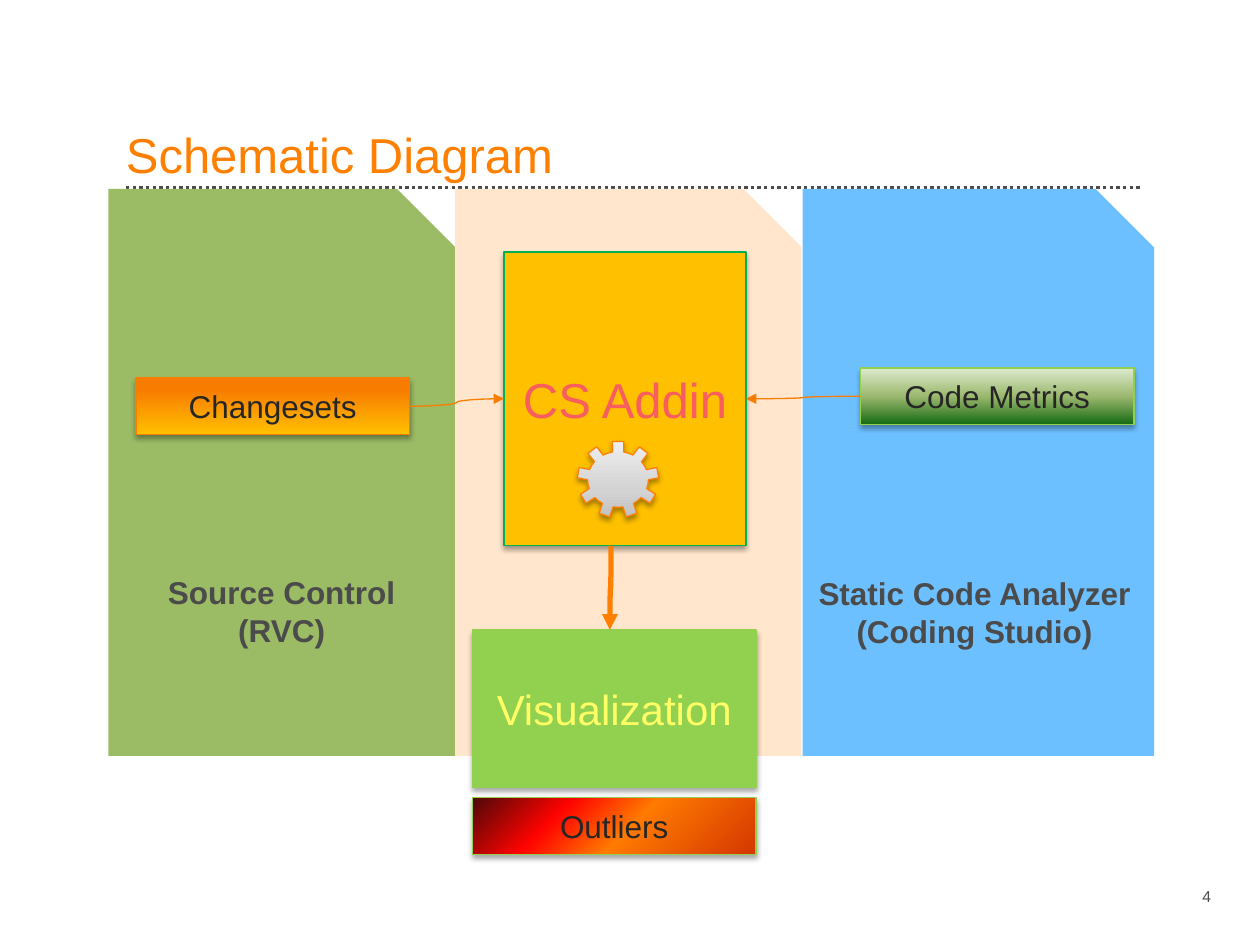
from lxml import etree
from pptx import Presentation
from pptx.dml.color import RGBColor
from pptx.enum.dml import MSO_LINE
from pptx.enum.shapes import MSO_CONNECTOR, MSO_SHAPE
from pptx.enum.text import MSO_ANCHOR, PP_ALIGN
from pptx.oxml import parse_xml
from pptx.oxml.ns import qn
from pptx.util import Inches, Pt

RECT, SNIP, GEAR = MSO_SHAPE.RECTANGLE, MSO_SHAPE.SNIP_1_RECTANGLE, MSO_SHAPE.GEAR_9
STRAIGHT, CURVE = MSO_CONNECTOR.STRAIGHT, MSO_CONNECTOR.CURVE
TOP, MIDDLE, BOTTOM = MSO_ANCHOR.TOP, MSO_ANCHOR.MIDDLE, MSO_ANCHOR.BOTTOM
LEFT, CENTER, RIGHT = PP_ALIGN.LEFT, PP_ALIGN.CENTER, PP_ALIGN.RIGHT
LEFT_SITE, RIGHT_SITE = 1, 3

ORANGE = RGBColor(0xFF, 0x80, 0x00)
DEEP_ORANGE = RGBColor(0xF9, 0x7D, 0x00)
GRAY = RGBColor(0x4B, 0x4B, 0x4B)
INK = RGBColor(0x26, 0x26, 0x26)
LIME = RGBColor(0x92, 0xD0, 0x50)
GREEN = RGBColor(0x00, 0xB0, 0x50)
AMBER = RGBColor(0xFF, 0xC0, 0x00)
CORAL = RGBColor(0xF8, 0x5E, 0x5E)
YELLOW = RGBColor(0xFF, 0xFF, 0x66)
SKY = RGBColor(0x6D, 0xC0, 0xFF)
PEACH = RGBColor(0xFF, 0xE6, 0xCC)
OLIVE = RGBColor(0x9C, 0xBB, 0x65)

UP = '<a:lin ang="16200000" scaled="0"/>'
DOWN = '<a:lin ang="5400000" scaled="0"/>'
CORNER = '<a:path path="circle"><a:fillToRect l="100000" t="100000"/></a:path>'
FLAME = ([(0, "FFC000"), (80, "F77C00"), (100, "F87D00")], UP)
SILVER = ([(0, "C0C0C0"), (35, "D3D3D3"), (100, "EEEEEE")], UP)
LEAF = ([(0, "DDEBCF"), (50, "9CB86E"), (100, "156B13")], DOWN)
EMBER = ([(0, "D43700"), (45, "FF7A00"), (70, "FF0300"), (100, "4D0808")], CORNER)

PANEL_TOP, PANEL_HEIGHT = 1.5, 4.5
PANELS = [(6.37, 2.79, SKY), (3.61, 2.75, PEACH), (0.86, 2.75, OLIVE)]
BOXES = [
    ("CS Addin", (4, 2, 1.92, 2.33), AMBER, GREEN, 28, CORAL),
    ("Changesets", (1.08, 3, 2.17, 0.45), FLAME, DEEP_ORANGE, 18, INK),
    ("Visualization", (3.75, 5, 2.25, 1.25), LIME, LIME, 24, YELLOW),
    ("Outliers", (3.75, 6.33, 2.25, 0.45), EMBER, LIME, 18, INK),
    ("Code Metrics", (6.83, 2.92, 2.17, 0.45), LEAF, LIME, 18, INK),
]
GEAR_PLACE = (4.58, 3.5, 0.65, 0.61)
LABELS = [
    ("Schematic Diagram", (1, 0.55, 8.06, 0.91), 28, ORANGE, False, LEFT, BOTTOM, 0),
    ("4", (9.21, 6.99, 0.5, 0.25), 9, GRAY, False, RIGHT, TOP, 0.1),
    ("Source Control\n(RVC)", (0.83, 4.5, 2.81, 0.71), 18, GRAY, True, CENTER, TOP, 0.1),
    ("Static Code Analyzer\n(Coding Studio)", (6.36, 4.51, 2.75, 0.71), 18, GRAY, True, CENTER, TOP, 0.1),
]
FEEDS = [("Changesets", RIGHT_SITE, LEFT_SITE), ("Code Metrics", LEFT_SITE, RIGHT_SITE)]

NAMESPACE = 'xmlns:a="http://schemas.openxmlformats.org/drawingml/2006/main"'
SHADOW = (f'<a:effectLst {NAMESPACE}><a:outerShdw blurRad="{Pt(3.1)}" dist="{Pt(1.8)}" '
          'dir="5400000" rotWithShape="0"><a:srgbClr val="000000"><a:alpha val="35000"/>'
          '</a:srgbClr></a:outerShdw></a:effectLst>')


def add_gradient(shape, stops, direction):
    colors = "".join(f'<a:gs pos="{share * 1000}"><a:srgbClr val="{color}"/></a:gs>'
                     for share, color in stops)
    shape._element.spPr.append(parse_xml(
        f'<a:gradFill {NAMESPACE} rotWithShape="1"><a:gsLst>{colors}</a:gsLst>{direction}</a:gradFill>'))


def add_box(kind, place, fill, outline=None):
    shape = page.shapes.add_shape(kind, *map(Inches, place))
    if isinstance(fill, RGBColor):
        shape.fill.solid()
        shape.fill.fore_color.rgb = fill
    else:
        add_gradient(shape, *fill)
    if outline is None:
        shape.line.fill.background()
        shape.shadow.inherit = False
    else:
        shape.line.color.rgb = outline
        shape.line.width = Pt(0.75)
        shape._element.spPr.append(parse_xml(SHADOW))
    return shape


def write(shape, text, size, color, bold=False, align=CENTER, anchor=MIDDLE):
    frame = shape.text_frame
    frame.word_wrap = True
    frame.vertical_anchor = anchor
    frame.text = text
    for paragraph in frame.paragraphs:
        paragraph.alignment = align
        font = paragraph.font
        font.name, font.size, font.bold = "Arial", Pt(size), bold
        font.color.rgb = color
    return frame


def add_line(kind, start, end, color, width, arrow=True):
    line = page.shapes.add_connector(kind, *map(Inches, start + end))
    line.line.color.rgb = color
    line.line.width = Pt(width)
    if arrow:
        etree.SubElement(line.line._get_or_add_ln(), qn("a:tailEnd"), type="triangle")
    etree.SubElement(line._element.spPr, qn("a:effectLst"))
    return line


deck = Presentation()
deck.slide_width, deck.slide_height = Inches(10), Inches(7.5)
page = deck.slides.add_slide(deck.slide_layouts[6])

rule = add_line(STRAIGHT, (1, 1.49), (9.06, 1.49), GRAY, 1.9, arrow=False)
rule.line.dash_style = MSO_LINE.ROUND_DOT

for left, width, color in PANELS:
    add_box(SNIP, (left, PANEL_TOP, width, PANEL_HEIGHT), color)

boxes = {}
for text, place, fill, outline, size, color in BOXES:
    boxes[text] = add_box(RECT, place, fill, outline)
    write(boxes[text], text, size, color)

gear = add_box(GEAR, GEAR_PLACE, SILVER, ORANGE)
gear.adjustments[0], gear.adjustments[1] = 0.137, 0

for text, place, size, color, bold, align, anchor, inset in LABELS:
    label = page.shapes.add_textbox(*map(Inches, place))
    frame = write(label, text, size, color, bold, align, anchor)
    if not inset:
        frame.margin_left = frame.margin_right = frame.margin_top = frame.margin_bottom = 0
        frame.paragraphs[0].line_spacing = 0.9

output_arrow = add_line(CURVE, (4.51, 4.66), (5.18, 4.67), ORANGE, 3)
output_arrow._element.spPr.find(qn("a:xfrm")).set("rot", "5400000")

for source, start_site, end_site in FEEDS:
    feed = add_line(CURVE, (0, 0), (1, 1), DEEP_ORANGE, 0.75)
    feed.begin_connect(boxes[source], start_site)
    feed.end_connect(boxes["CS Addin"], end_site)

deck.save("out.pptx")
